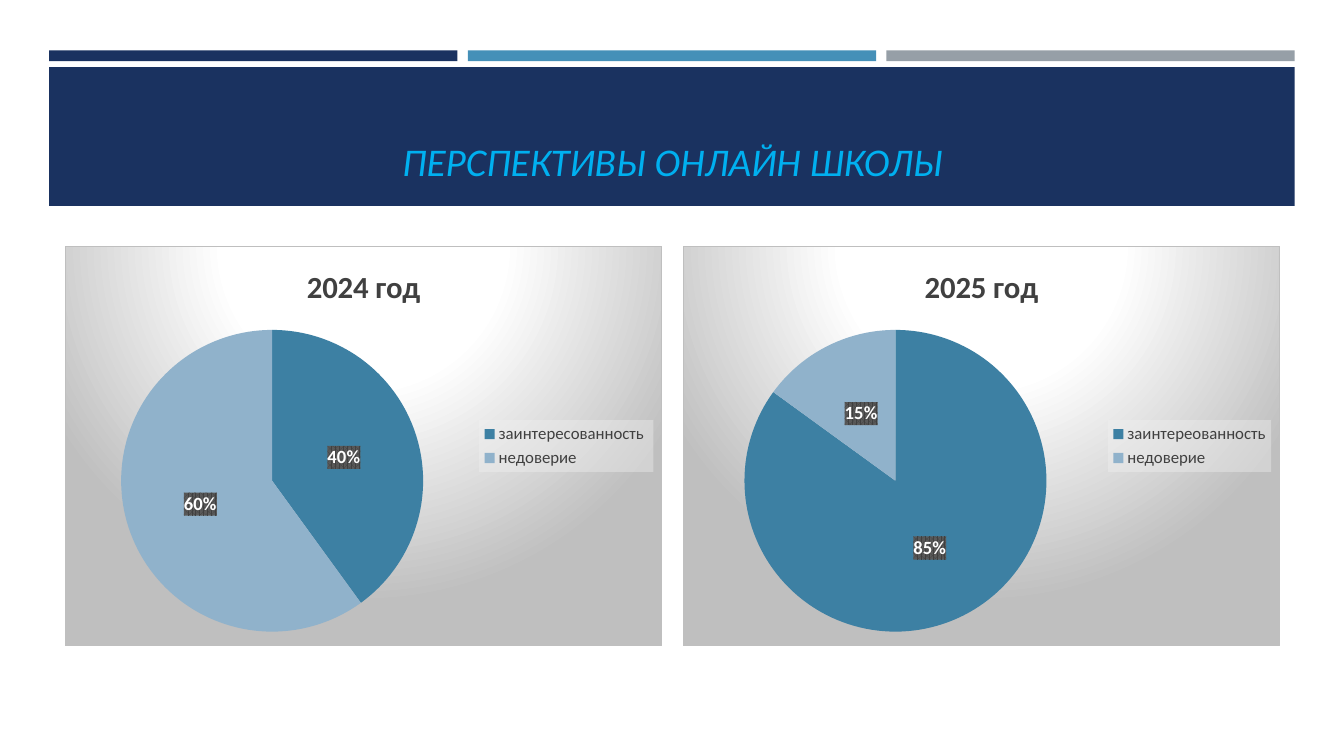
import lxml.etree
import pptx
import pptx.chart.data
import pptx.dml.color
import pptx.enum.chart
import pptx.enum.shapes
import pptx.enum.text
import pptx.util

Cm = pptx.util.Cm
Pt = pptx.util.Pt
RGB = pptx.dml.color.RGBColor
NAVY = RGB(0x1A, 0x32, 0x60)
BLUE = RGB(0x45, 0x90, 0xB8)
GREY = RGB(0x96, 0x9F, 0xA7)
CYAN = RGB(0x00, 0xB0, 0xF0)
TEAL = RGB(0x3D, 0x80, 0xA3)
PALE = RGB(0x90, 0xB2, 0xCB)
DARK = RGB(0x40, 0x40, 0x40)
BLACK = RGB(0x00, 0x00, 0x00)
WHITE = RGB(0xFF, 0xFF, 0xFF)

NS = ('xmlns:c="http://schemas.openxmlformats.org/drawingml/2006/chart" '
      'xmlns:a="http://schemas.openxmlformats.org/drawingml/2006/main"')
GLOW = """<a:gradFill><a:gsLst>
<a:gs pos="0"><a:srgbClr val="FFFFFF"/></a:gs>
<a:gs pos="39000"><a:srgbClr val="FFFFFF"/></a:gs>
<a:gs pos="100000"><a:srgbClr val="BFBFBF"/></a:gs></a:gsLst>
<a:path path="circle"><a:fillToRect l="50000" t="-80000" r="50000" b="180000"/></a:path>
</a:gradFill>
<a:ln w="9525"><a:solidFill><a:srgbClr val="BFBFBF"/></a:solidFill></a:ln>"""
VEIL = """<a:solidFill><a:srgbClr val="F2F2F2"><a:alpha val="39000"/></a:srgbClr></a:solidFill>
<a:ln><a:noFill/></a:ln>"""
MESH = """<a:pattFill prst="pct75"><a:fgClr><a:srgbClr val="404040"/></a:fgClr>
<a:bgClr><a:srgbClr val="595959"/></a:bgClr></a:pattFill><a:ln><a:noFill/></a:ln>"""


def style(font, size, color, bold=False, italic=False, face="Calibri"):
    font.name = face
    font.size = Pt(size)
    font.bold = bold
    font.italic = italic
    font.color.rgb = color


def write(frame, text, align=pptx.enum.text.PP_ALIGN.CENTER, **form):
    para = frame.paragraphs[0]
    para.alignment = align
    run = para.add_run()
    run.text = text
    style(run.font, **form)


def paint(node, fill):
    return lxml.etree.fromstring(f"<c:spPr {NS}>{fill}</c:spPr>", node.getroottree().parser)


class Deck:
    def __init__(self):
        self.show = pptx.Presentation()
        self.show.slide_width = Cm(33.87)
        self.show.slide_height = Cm(19.05)
        self.slide = self.show.slides.add_slide(self.show.slide_layouts[5])

    def bar(self, left, top, width, height, color):
        bar = self.slide.shapes.add_shape(
            pptx.enum.shapes.MSO_SHAPE.RECTANGLE, Cm(left), Cm(top), Cm(width), Cm(height))
        bar.shadow.inherit = False
        bar.fill.solid()
        bar.fill.fore_color.rgb = color
        bar.line.fill.background()

    def title(self, text, left, top, width, height):
        title = self.slide.shapes.title
        title.left, title.top = Cm(left), Cm(top)
        title.width, title.height = Cm(width), Cm(height)
        frame = title.text_frame
        frame.word_wrap = True
        frame.auto_size = pptx.enum.text.MSO_AUTO_SIZE.NONE
        frame.vertical_anchor = pptx.enum.text.MSO_ANCHOR.BOTTOM
        write(frame, text, size=28, color=CYAN, italic=True)
        title.element.getparent().append(title.element)

    def pie(self, name, cats, vals, left, top, width, height):
        data = pptx.chart.data.CategoryChartData()
        data.categories = cats
        data.add_series(name, vals)
        chart = self.slide.shapes.add_chart(
            pptx.enum.chart.XL_CHART_TYPE.PIE,
            Cm(left), Cm(top), Cm(width), Cm(height), data).chart
        style(chart.font, size=10, color=BLACK)
        chart.has_title = True
        write(chart.chart_title.text_frame, name, size=22, color=DARK, bold=True)
        chart.chart_title.include_in_layout = False
        self.legend(chart)
        self.labels(chart.plots[0])
        for at, color in enumerate((TEAL, PALE)):
            form = chart.plots[0].series[0].points[at].format
            form.fill.solid()
            form.fill.fore_color.rgb = color
            form.line.fill.background()
        space = chart.element
        space.find("{*}chart").addnext(paint(space, GLOW))

    def legend(self, chart):
        chart.has_legend = True
        legend = chart.legend
        legend.position = pptx.enum.chart.XL_LEGEND_POSITION.RIGHT
        legend.include_in_layout = False
        style(legend.font, size=12, color=DARK)
        node = chart.element.find(".//{*}legend")
        node.find("{*}txPr").addprevious(paint(node, VEIL))

    def labels(self, plot):
        labels = plot.series[0].data_labels
        labels.show_percentage = True
        labels.show_value = False
        labels.number_format = "0%"
        labels.number_format_is_linked = False
        labels.position = pptx.enum.chart.XL_LABEL_POSITION.CENTER
        style(labels.font, size=13.3, color=WHITE, bold=True)
        node = plot.series[0].data_labels.font and plot.series[0]._element.find("{*}dLbls")
        node.find("{*}txPr").addprevious(paint(node, MESH))


def main():
    deck = Deck()
    for at, color in enumerate((NAVY, BLUE, GREY)):
        deck.bar(1.24 + 10.55 * at, 1.27, 10.29, 0.27, color)
    deck.bar(1.24, 1.69, 31.39, 3.5, NAVY)
    deck.title("ПЕРСПЕКТИВЫ ОНЛАЙН ШКОЛЫ", 1.63, 2.03, 30.63, 2.74)
    years = (
        ("2024 год", ("заинтересованность ", "недоверие"), (40, 60)),
        ("2025 год", ("заинтереованность", "недоверие "), (85, 15)),
    )
    for at, (name, cats, vals) in enumerate(years):
        deck.pie(name, cats, vals, 1.63 + 15.57 * at, 6.2, 15.06, 10.08)
    deck.show.save("out.pptx")


if __name__ == "__main__":
    main()
